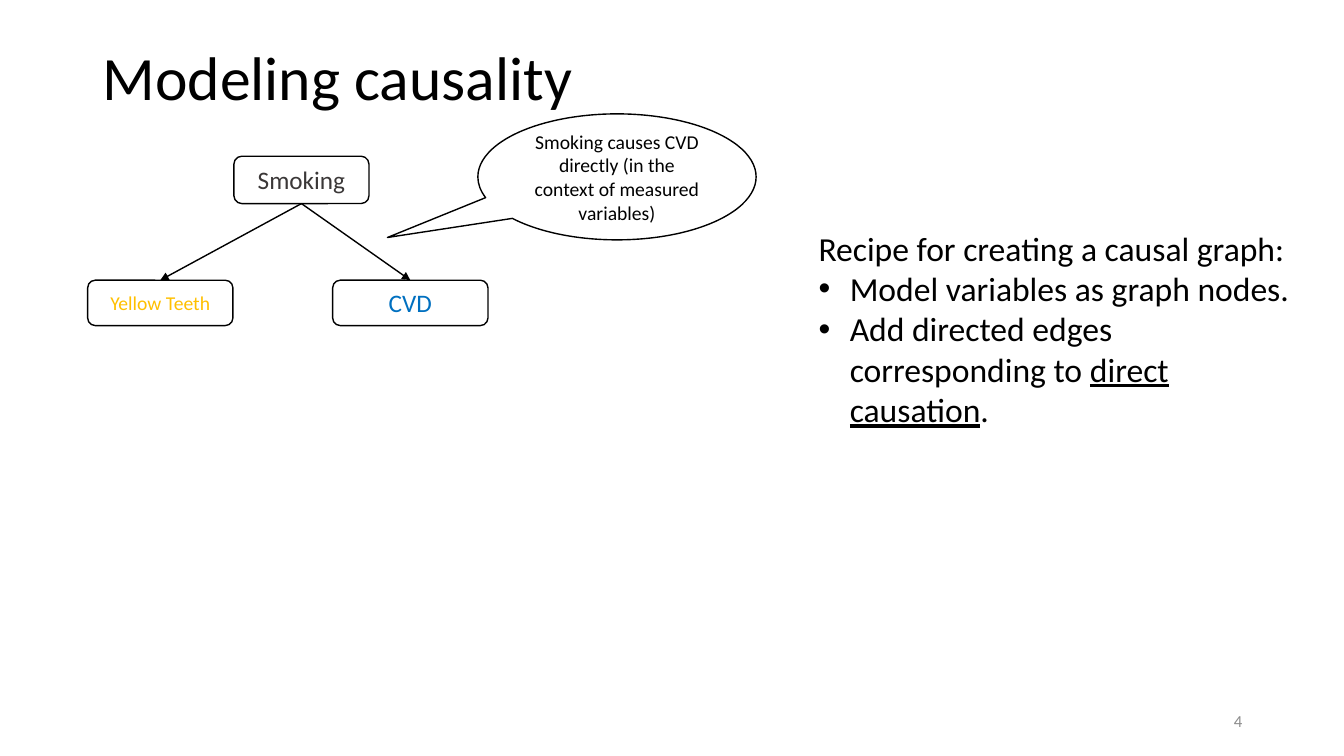
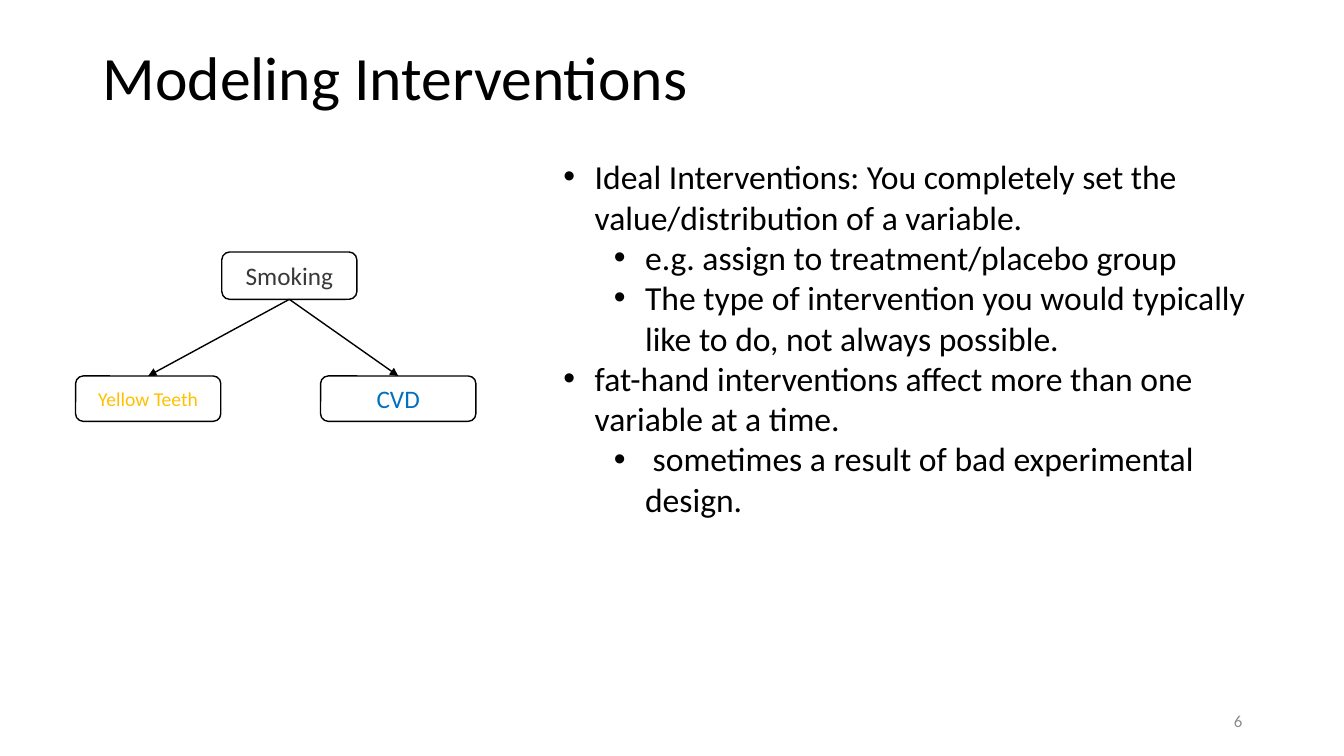
from lxml import etree
from pptx import Presentation
from pptx.dml.color import RGBColor
from pptx.enum.dml import MSO_THEME_COLOR
from pptx.enum.shapes import MSO_CONNECTOR, MSO_SHAPE
from pptx.enum.text import MSO_ANCHOR, MSO_AUTO_SIZE, PP_ALIGN
from pptx.oxml.ns import qn
from pptx.util import Inches, Pt

LEFT, CENTER, RIGHT = PP_ALIGN.LEFT, PP_ALIGN.CENTER, PP_ALIGN.RIGHT
TOP, MIDDLE = MSO_ANCHOR.TOP, MSO_ANCHOR.MIDDLE
ROUNDED, CALLOUT = MSO_SHAPE.ROUNDED_RECTANGLE, MSO_SHAPE.OVAL_CALLOUT
STRAIGHT = MSO_CONNECTOR.STRAIGHT
FIT_SHAPE = MSO_AUTO_SIZE.SHAPE_TO_FIT_TEXT

FONT = "Calibri"
COLORS = {
    "black": "000000",
    "white": "FFFFFF",
    "smoking": "3B3838",
    "teeth": "FFC000",
    "cvd": "0070C0",
    "number": "8C8C8C",
}
HANG = 0.31    # bullet indent
STEP = 0.5     # extra indent per level
SITE_TOP, SITE_BOTTOM = 0, 2

# Nodes are placed relative to the graph's corner: left, top, width, height
NODES = [
    ("Smoking", (1.45, 0, 1.34, 0.47), 18, "smoking"),
    ("Yellow Teeth", (0, 1.23, 1.44, 0.45), 14, "teeth"),
    ("CVD", (2.43, 1.23, 1.54, 0.45), 18, "cvd"),
]

# Each paragraph is (bullet level or None, [(text, underlined), ...])
SLIDES = [
    {
        "title": "Modeling causality",
        "number": "4",
        "graph": (0.87, 1.55),
        "body_at": (8.02, 2.21, 5.07, 2.12),
        "body": [
            (None, [("Recipe for creating a causal graph: ", False)]),
            (0, [("Model variables as graph nodes.", False)]),
            (0, [("Add directed edges corresponding to ", False),
                 ("direct causation", True), (".", False)]),
        ],
        "callout": "Smoking causes CVD directly (in the context of measured variables)",
    },
    {
        "title": "Modeling Interventions",
        "number": "6",
        "graph": (0.75, 2.5),
        "body_at": (5.49, 1.5, 7.34, 4.14),
        "body": [
            (0, [("Ideal Interventions: You completely set the "
                  "value/distribution of a variable.", False)]),
            (1, [("e.g. assign to treatment/placebo group", False)]),
            (1, [("The type of intervention you would typically like to do, "
                  "not always possible.", False)]),
            (0, [("fat-hand interventions affect more than one variable "
                  "at a time.", False)]),
            (1, [(" sometimes a result of bad experimental design.", False)]),
        ],
        "callout": None,
    },
]


def add_text(shapes, at, text, size, color="black", align=LEFT, anchor=TOP,
             preset=None, spacing=None):
    """Add a text box, or an outlined preset shape, holding text or paragraphs."""
    box = [Inches(v) for v in at]
    if preset is None:
        sp = shapes.add_textbox(*box)
    else:
        sp = shapes.add_shape(preset, *box)
        sp.shadow.inherit = False
        sp.fill.solid()
        sp.fill.fore_color.rgb = RGBColor.from_string(COLORS["white"])
        sp.line.color.rgb = RGBColor.from_string(COLORS["black"])
        sp.line.width = Pt(1)
    tf = sp.text_frame
    tf.word_wrap = True
    tf.vertical_anchor = anchor
    paragraphs = [(None, [(text, False)])] if isinstance(text, str) else text
    for i, (level, runs) in enumerate(paragraphs):
        p = tf.paragraphs[0] if i == 0 else tf.add_paragraph()
        p.alignment = align
        if spacing:
            p.line_spacing = spacing
        if level is not None:
            p.level = level
            pPr = p._p.get_or_add_pPr()
            pPr.set("marL", str(Inches(HANG + STEP * level)))
            pPr.set("indent", str(Inches(-HANG)))
            etree.SubElement(pPr, qn("a:buFont")).set("typeface", "Arial")
            etree.SubElement(pPr, qn("a:buChar")).set("char", "•")
        for words, underlined in runs:
            r = p.add_run()
            r.text = words
            r.font.name = FONT
            r.font.size = Pt(size)
            r.font.color.rgb = RGBColor.from_string(COLORS[color])
            if underlined:
                r.font.underline = True
    return sp


def add_graph(s, left, top):
    """Draw the causal graph as a group, with arrows from the cause to its effects."""
    group = s.shapes.add_group_shape()
    cause, *effects = [
        add_text(group.shapes, (left + x, top + y, w, h), name, size, color,
                 CENTER, MIDDLE, ROUNDED)
        for name, (x, y, w, h), size, color in NODES
    ]
    effects[-1].text_frame.margin_left = Inches(0.04)
    effects[-1].text_frame.margin_right = Inches(0.04)
    for effect in effects:
        arrow = group.shapes.add_connector(
            STRAIGHT, cause.left + cause.width // 2, cause.top + cause.height,
            effect.left + effect.width // 2, effect.top)
        arrow.begin_connect(cause, SITE_BOTTOM)
        arrow.end_connect(effect, SITE_TOP)
        arrow.line.color.rgb = RGBColor.from_string(COLORS["black"])
        arrow.line.width = Pt(1)
        etree.SubElement(arrow.line._get_or_add_ln(), qn("a:tailEnd")).set("type", "triangle")
        etree.SubElement(arrow._element.spPr, qn("a:effectLst"))


prs = Presentation()
prs.slide_width, prs.slide_height = Inches(13.33), Inches(7.5)
blank = prs.slide_layouts[6]
background = prs.slide_master.background.fill
background.solid()
background.fore_color.theme_color = MSO_THEME_COLOR.BACKGROUND_1

for content in SLIDES:
    s = prs.slides.add_slide(blank)
    add_text(s.shapes, (0.92, 0.4, 11.5, 0.79), content["title"], 44,
             anchor=MIDDLE, spacing=0.9)
    add_text(s.shapes, (9.42, 6.95, 3, 0.4), content["number"], 12, "number",
             RIGHT, MIDDLE)
    add_graph(s, *content["graph"])
    body = add_text(s.shapes, content["body_at"], content["body"], 24)
    body.text_frame.auto_size = FIT_SHAPE
    if content["callout"]:
        callout = add_text(s.shapes, (4.74, 1.13, 2.76, 1.25), content["callout"],
                           14, align=CENTER, anchor=MIDDLE, preset=CALLOUT)
        callout.adjustments[0] = -0.825
        callout.adjustments[1] = 0.481

prs.save("out.pptx")
